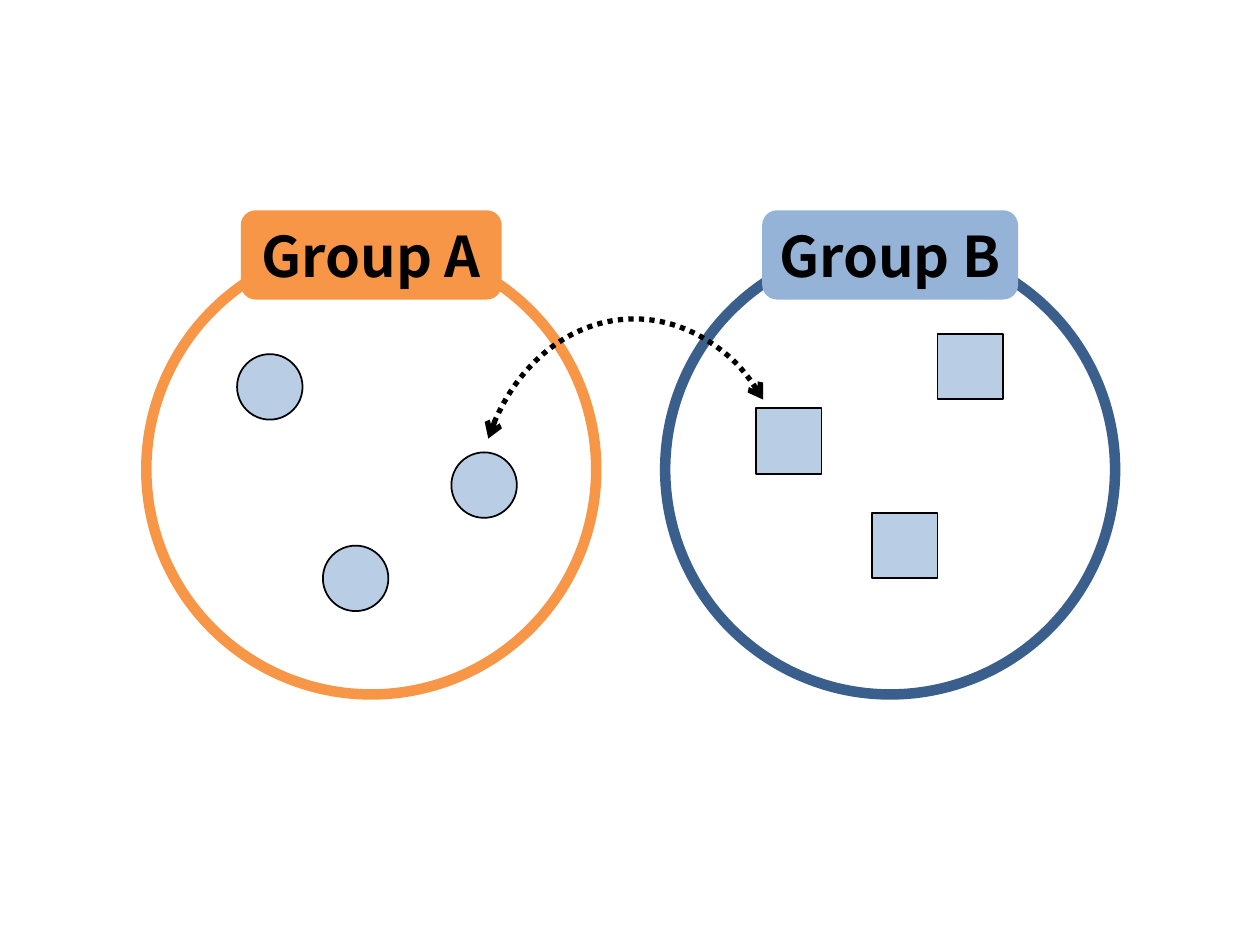
from lxml.etree import SubElement
from pptx import Presentation
from pptx.dml.color import RGBColor as Rgb
from pptx.enum.dml import MSO_LINE as Dash
from pptx.enum.shapes import MSO_SHAPE as Kind
from pptx.enum.text import MSO_ANCHOR as Anchor, MSO_AUTO_SIZE as Fit, PP_ALIGN as Align
from pptx.oxml.ns import qn
from pptx.util import Cm, Pt

FONT = "Noto Sans CJK KR"
HUES = {
    "orange": "F79646",
    "navy": "3A5F8C",
    "blue": "95B3D7",
    "pale": "B9CDE5",
    "black": "000000",
}


def hue(name):
    return Rgb.from_string(HUES[name])


def add_form(slide, kind, box, fill=None, line=None, width=1):
    form = slide.shapes.add_shape(kind, *map(Cm, box))
    form.shadow.inherit = False
    if fill:
        form.fill.solid()
        form.fill.fore_color.rgb = hue(fill)
    else:
        form.fill.background()
    if line:
        form.line.color.rgb = hue(line)
        form.line.width = Pt(width)
    else:
        form.line.fill.background()
    return form


def add_label(slide, box, text, fill):
    frame = add_form(slide, Kind.ROUNDED_RECTANGLE, box, fill).text_frame
    frame.word_wrap = False
    frame.auto_size = Fit.SHAPE_TO_FIT_TEXT
    frame.vertical_anchor = Anchor.MIDDLE
    para = frame.paragraphs[0]
    para.alignment = Align.CENTER
    run = para.add_run()
    run.text = text
    run.font.name = FONT
    run.font.size = Pt(32)
    run.font.bold = True
    run.font.color.rgb = hue("black")


def add_group(slide, box, title, wide, ring, fill, kind, spots):
    left, top, width, _ = box
    add_form(slide, Kind.OVAL, box, line=ring, width=6)
    add_label(slide, (left + (width - wide) / 2, top - 0.69, wide, 1.8), title, fill)
    for x, y in spots:
        add_form(slide, kind, (left + x, top + y, 1.32, 1.32), "pale", "black")


def add_link(slide, box):
    arc = add_form(slide, Kind.ARC, box, line="black", width=3)
    arc.adjustments[0] = 122.98
    arc.adjustments[1] = 192.17
    arc.line.dash_style = Dash.ROUND_DOT
    stroke = arc.line._get_or_add_ln()
    for end in ("a:headEnd", "a:tailEnd"):
        SubElement(stroke, qn(end), type="arrow")


def main():
    deck = Presentation()
    deck.slide_width, deck.slide_height = Cm(25.4), Cm(19.05)
    slide = deck.slides.add_slide(deck.slide_layouts[6])
    add_group(slide, (2.95, 4.93, 9.07, 9.07), "Group A", 5.26, "orange", "orange",
              Kind.OVAL, [(1.83, 2.21), (6.15, 4.19), (3.56, 6.07)])
    add_group(slide, (13.41, 4.93, 9.07, 9.07), "Group B", 5.16, "navy", "blue",
              Kind.RECTANGLE, [(5.49, 1.8), (1.83, 3.3), (4.17, 5.41)])
    add_link(slide, (9.63, 6.43, 6.32, 7.57))
    deck.save("out.pptx")


if __name__ == "__main__":
    main()
